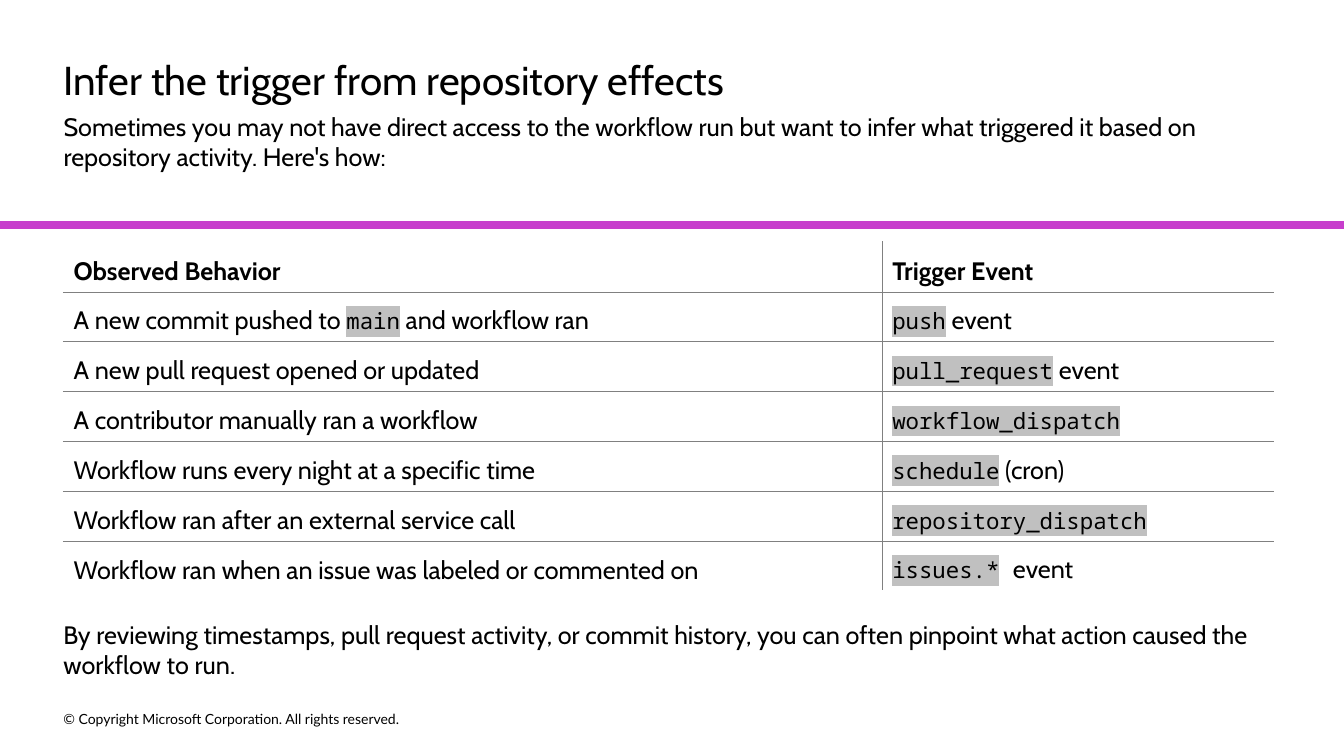
from dataclasses import dataclass

from lxml import etree
from pptx import Presentation
from pptx.dml.color import RGBColor
from pptx.enum.shapes import MSO_CONNECTOR
from pptx.enum.text import MSO_ANCHOR, MSO_AUTO_SIZE, PP_ALIGN
from pptx.oxml.ns import qn
from pptx.slide import Slide
from pptx.table import _Cell
from pptx.text.text import TextFrame, _Paragraph
from pptx.util import Inches, Pt

STRAIGHT = MSO_CONNECTOR.STRAIGHT
MIDDLE, BOTTOM = MSO_ANCHOR.MIDDLE, MSO_ANCHOR.BOTTOM
NO_AUTOFIT = MSO_AUTO_SIZE.NONE
LEFT = PP_ALIGN.LEFT


@dataclass(frozen=True)
class TextStyle:
    name: str
    size: float
    bold: bool = False
    highlighted: bool = False


@dataclass(frozen=True)
class Theme:
    text: str = "000000"
    accent: str = "C73ECC"
    rule: str = "808080"
    edge: str = "FFFFFF"
    highlight: str = "C0C0C0"
    rule_width: float = 0.25
    edge_width: float = 1
    accent_width: float = 6
    title: TextStyle = TextStyle("Cabin", 28.8)
    body: TextStyle = TextStyle("Cabin", 18)
    header: TextStyle = TextStyle("Cabin", 18, bold=True)
    code: TextStyle = TextStyle("Noto Sans Mono", 16, highlighted=True)
    code_gap: TextStyle = TextStyle("Noto Sans Mono", 16)
    copyright: TextStyle = TextStyle("Lato", 10)


THEME = Theme()


@dataclass(frozen=True)
class Span:
    text: str
    style: TextStyle = THEME.body


@dataclass(frozen=True)
class TextBlock:
    left: float
    top: float
    width: float
    height: float
    span: Span


@dataclass(frozen=True)
class TriggerRow:
    behavior: list[Span]
    event: list[Span]


def code(text: str) -> Span:
    return Span(text, THEME.code)


TITLE = TextBlock(0.53, 0.65, 8.96, 0.34,
                  Span("Infer the trigger from repository effects", THEME.title))
TEXT_BLOCKS = [
    TextBlock(0.63, 1.13, 11.75, 0.54, Span(
        "Sometimes you may not have direct access to the workflow run but want to infer "
        "what triggered it based on repository activity. Here's how:")),
    TextBlock(0.63, 6.17, 12, 0.54, Span(
        "By reviewing timestamps, pull request activity, or commit history, you can often "
        "pinpoint what action caused the workflow to run.")),
    TextBlock(0.63, 7.02, 4.54, 0.22, Span(
        "© Copyright Microsoft Corporation. All rights reserved.", THEME.copyright)),
]
TRIGGER_ROWS = [
    TriggerRow([Span("Observed Behavior", THEME.header)], [Span("Trigger Event", THEME.header)]),
    TriggerRow([Span("A new commit pushed to "), code("main"), Span(" and workflow ran")],
               [code("push"), Span(" event")]),
    TriggerRow([Span("A new pull request opened or updated")],
               [code("pull_request"), Span(" event")]),
    TriggerRow([Span("A contributor manually ran a workflow")], [code("workflow_dispatch")]),
    TriggerRow([Span("Workflow runs every night at a specific time")],
               [code("schedule"), Span(" (cron)")]),
    TriggerRow([Span("Workflow ran after an external service call")],
               [code("repository_dispatch")]),
    TriggerRow([Span("Workflow ran when an issue was labeled or commented on")],
               [code("issues.*"), Span(" ", THEME.code_gap), Span("event")]),
]
TABLE_LEFT, TABLE_TOP, TABLE_HEIGHT = 0.63, 2.4, 3.46
COLUMN_WIDTHS = [8.12, 3.88]
SLIDE_WIDTH, SLIDE_HEIGHT = 13.33, 7.5
DIVIDER_TOP = 2.23


def add_color(parent: etree._Element, tag: str, color: str) -> None:
    holder = etree.SubElement(parent, qn(tag))
    etree.SubElement(holder, qn("a:srgbClr"), val=color)


def add_span(para: _Paragraph, span: Span) -> None:
    run = para.add_run()
    run.text = span.text
    run.font.color.rgb = RGBColor.from_string(THEME.text)
    if span.style.highlighted:
        add_color(run.font._element, "a:highlight", THEME.highlight)
    values = {"name": span.style.name, "size": Pt(span.style.size), "bold": span.style.bold}
    for name, value in values.items():
        setattr(run.font, name, value)


def format_frame(frame: TextFrame, values: dict) -> None:
    defaults = {"word_wrap": True, "auto_size": NO_AUTOFIT, "vertical_anchor": MIDDLE}
    for name, value in (defaults | values).items():
        setattr(frame, name, value)


def place_title(slide: Slide, block: TextBlock) -> None:
    title = slide.shapes.title
    for name in ("left", "top", "width", "height"):
        setattr(title, name, Inches(getattr(block, name)))
    format_frame(title.text_frame, {})
    para = title.text_frame.paragraphs[0]
    para.alignment = LEFT
    para.line_spacing = 0.9
    add_span(para, block.span)


def add_text_block(slide: Slide, block: TextBlock) -> None:
    box = slide.shapes.add_textbox(Inches(block.left), Inches(block.top),
                                   Inches(block.width), Inches(block.height))
    sides = ("left", "top", "right", "bottom")
    format_frame(box.text_frame, {f"margin_{side}": 0 for side in sides})
    add_span(box.text_frame.paragraphs[0], block.span)


def add_divider(slide: Slide) -> None:
    divider = slide.shapes.add_connector(STRAIGHT, 0, Inches(DIVIDER_TOP),
                                         Inches(SLIDE_WIDTH), Inches(DIVIDER_TOP))
    divider.line.color.rgb = RGBColor.from_string(THEME.accent)
    divider.line.width = Pt(THEME.accent_width)
    etree.SubElement(divider._element.spPr, qn("a:effectLst"))


def set_borders(cell: _Cell, outer_sides: dict[str, bool]) -> None:
    """Draw grey rules inside the table and white ones on its outer edge."""
    properties = cell._tc.get_or_add_tcPr()
    for position, (side, is_outer) in enumerate(outer_sides.items()):
        color = THEME.edge if is_outer else THEME.rule
        width = THEME.edge_width if is_outer else THEME.rule_width
        border = etree.Element(qn(f"a:ln{side}"), w=str(int(Pt(width))))
        add_color(border, "a:solidFill", color)
        properties.insert(position, border)


def add_trigger_table(slide: Slide) -> None:
    last_row, last_column = len(TRIGGER_ROWS) - 1, len(COLUMN_WIDTHS) - 1
    table = slide.shapes.add_table(
        len(TRIGGER_ROWS), len(COLUMN_WIDTHS), Inches(TABLE_LEFT), Inches(TABLE_TOP),
        Inches(sum(COLUMN_WIDTHS)), Inches(TABLE_HEIGHT)).table
    table.first_row = table.horz_banding = False
    for column, width in zip(table.columns, COLUMN_WIDTHS):
        column.width = Inches(width)
    for row_index, row in enumerate(TRIGGER_ROWS):
        for column_index, spans in enumerate((row.behavior, row.event)):
            cell = table.cell(row_index, column_index)
            cell.vertical_anchor = BOTTOM
            cell.fill.background()
            set_borders(cell, {"L": column_index == 0, "R": column_index == last_column,
                               "T": row_index == 0, "B": row_index == last_row})
            for span in spans:
                add_span(cell.text_frame.paragraphs[0], span)


def main() -> None:
    deck = Presentation()
    deck.slide_width, deck.slide_height = Inches(SLIDE_WIDTH), Inches(SLIDE_HEIGHT)
    page = deck.slides.add_slide(deck.slide_layouts.get_by_name("Title Only"))
    add_divider(page)
    place_title(page, TITLE)
    add_trigger_table(page)
    for block in TEXT_BLOCKS:
        add_text_block(page, block)
    deck.save("out.pptx")


if __name__ == "__main__":
    main()
